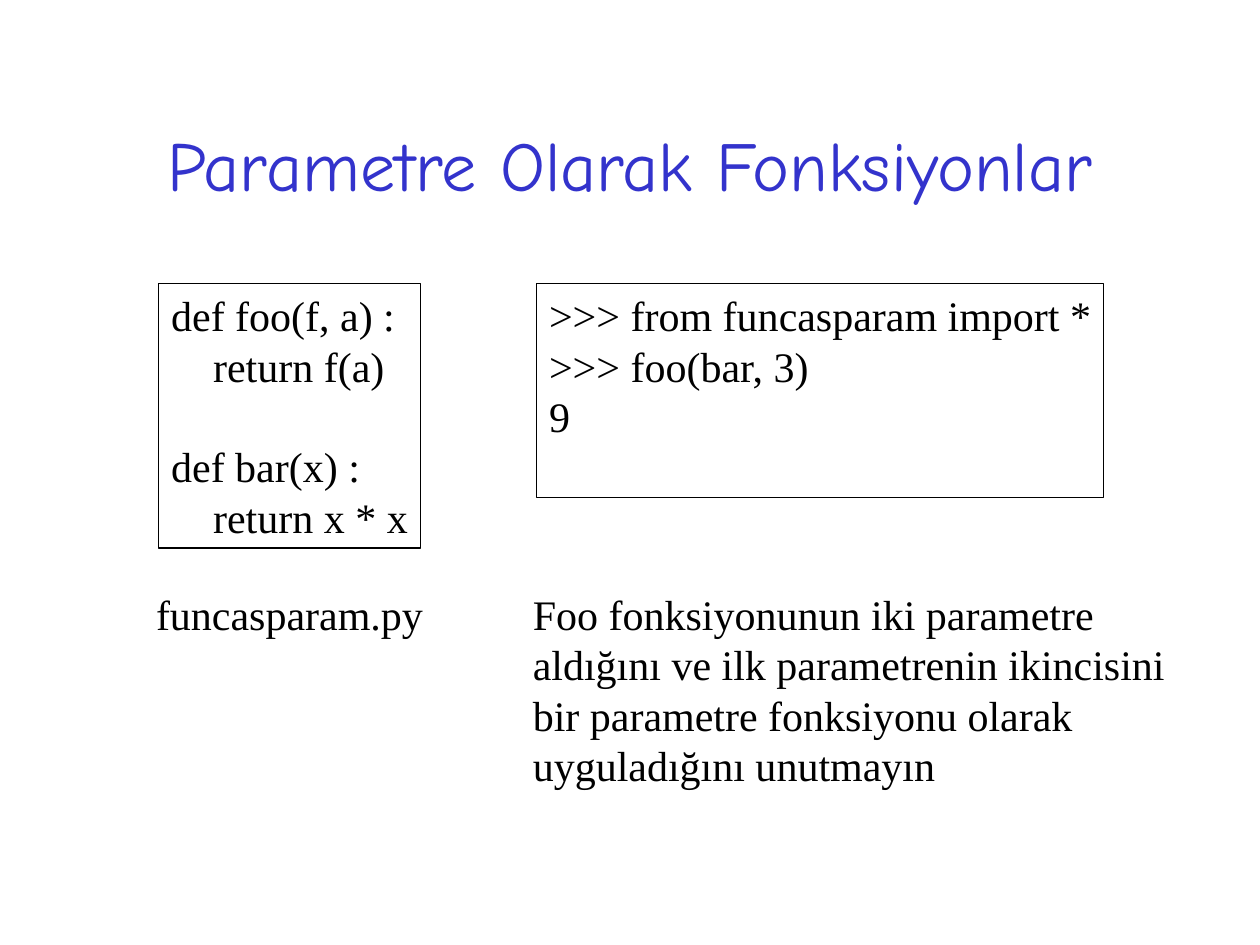
from pptx import Presentation
from pptx.dml.color import RGBColor
from pptx.enum.shapes import MSO_SHAPE
from pptx.enum.text import MSO_ANCHOR, PP_ALIGN
from pptx.util import Inches, Pt

RECT = MSO_SHAPE.RECTANGLE
TOP, MIDDLE = MSO_ANCHOR.TOP, MSO_ANCHOR.MIDDLE
LEFT, CENTER = PP_ALIGN.LEFT, PP_ALIGN.CENTER
BLACK, BLUE = "000000", "3333CC"
BODY_FONT, TITLE_FONT = "Times New Roman", "Comic Neue"
LINE_HEIGHT = Pt(28.8)

FOO_BAR = [
    ("def foo(f, a) :", 0, 0),
    ("return f(a)", 1, 0),
    ("def bar(x) :", 0, 1),
    ("return x * x", 1, 0),
]
SESSION = [
    (">>> from funcasparam import *", 0, 0),
    (">>> foo(bar, 3)", 0, 0),
    ("9", 0, 0),
]
NOTE = ("Foo fonksiyonunun iki parametre aldığını ve ilk parametrenin "
        "ikincisini bir parametre fonksiyonu olarak uyguladığını unutmayın")


def rgb(color):
    """Return the colour for a hex string."""
    return RGBColor.from_string(color)


def style(p, size, font, color, align=LEFT):
    """Set the font and alignment of a paragraph."""
    p.alignment = align
    p.font.size = Pt(size)
    p.font.name = font
    p.font.color.rgb = rgb(color)


def add_title(s, text, x, y, w, h):
    """Place the centred slide title in the box."""
    tf = s.shapes.add_textbox(Inches(x), Inches(y), Inches(w), Inches(h)).text_frame
    tf.word_wrap = True
    tf.vertical_anchor = MIDDLE
    p = tf.paragraphs[0]
    p.text = text
    style(p, 40, TITLE_FONT, BLUE, CENTER)


def add_code(s, lines, x, y, w, h):
    """Place a framed listing of (text, indent level, lines skipped before)."""
    sp = s.shapes.add_shape(RECT, Inches(x), Inches(y), Inches(w), Inches(h))
    sp.shadow.inherit = False
    sp.fill.background()
    sp.line.color.rgb = rgb(BLACK)
    sp.line.width = Pt(0.75)
    tf = sp.text_frame
    tf.word_wrap = False
    tf.vertical_anchor = TOP
    for i, (text, level, skipped) in enumerate(lines):
        p = tf.add_paragraph() if i else tf.paragraphs[0]
        p.text = text
        style(p, 24, BODY_FONT, BLACK)
        p.line_spacing = LINE_HEIGHT
        p.space_before = skipped * LINE_HEIGHT
        p._p.get_or_add_pPr().set("marL", str(level * Pt(24)))


def add_caption(s, text, x, y, w, h):
    """Place a wrapped caption in the box."""
    tf = s.shapes.add_textbox(Inches(x), Inches(y), Inches(w), Inches(h)).text_frame
    tf.word_wrap = True
    p = tf.paragraphs[0]
    p.text = text
    style(p, 24, BODY_FONT, BLACK)
    p.line_spacing = LINE_HEIGHT


def main():
    """Build the slide and save it."""
    prs = Presentation()
    prs.slide_width, prs.slide_height = Inches(10), Inches(7.5)
    s = prs.slides.add_slide(prs.slide_layouts[6])
    add_title(s, "Parametre Olarak Fonksiyonlar", 0.75, 0.67, 8.5, 1.25)
    add_code(s, FOO_BAR, 1.26, 2.25, 2.08, 2.1)
    add_code(s, SESSION, 4.26, 2.25, 4.5, 1.7)
    add_caption(s, NOTE, 4.13, 4.62, 5.58, 1.7)
    add_caption(s, "funcasparam.py", 1.14, 4.62, 2.36, 0.5)
    prs.save("out.pptx")


if __name__ == "__main__":
    main()
